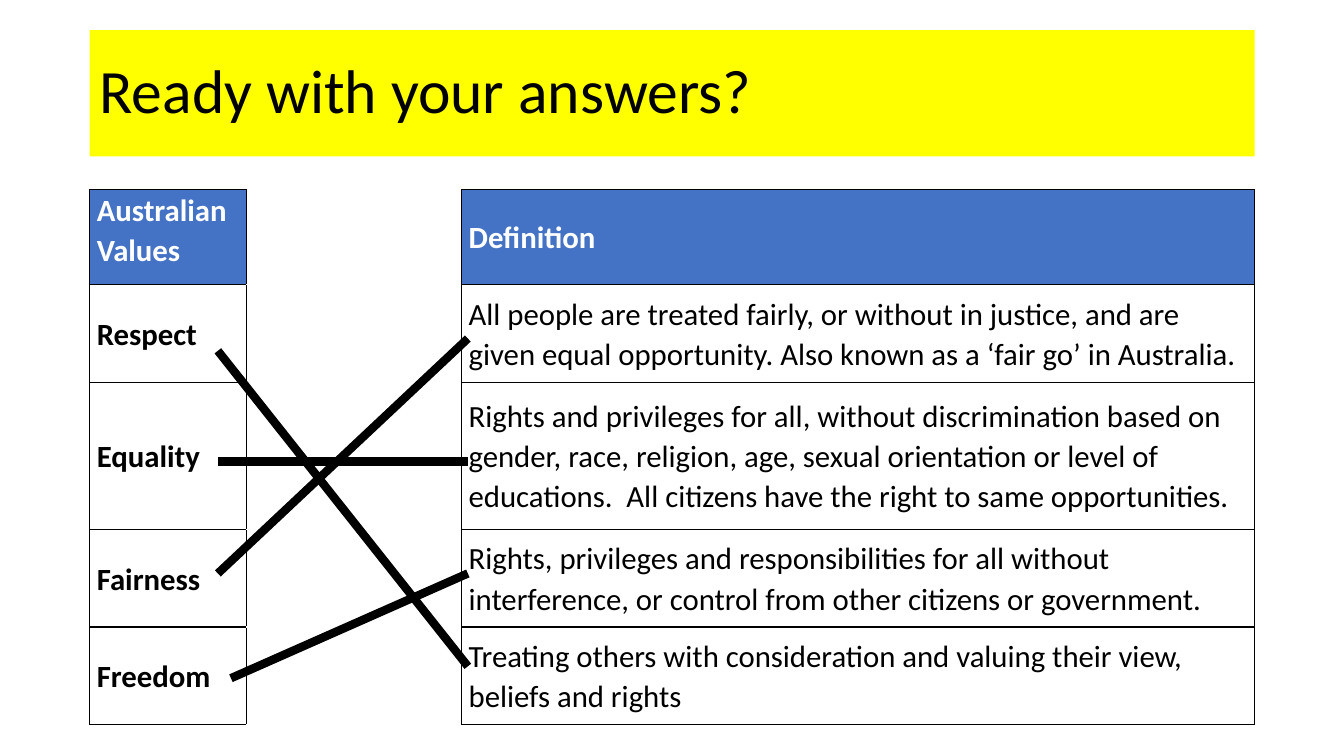
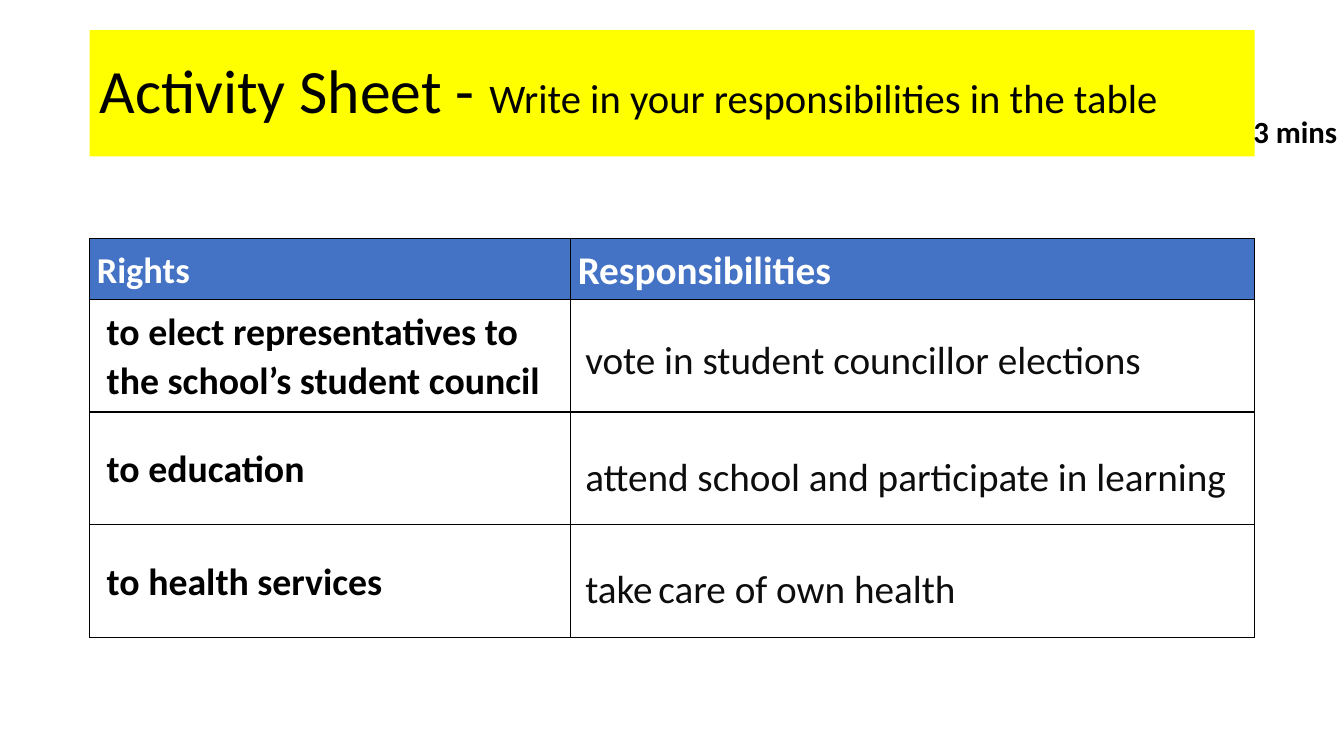
from lxml.etree import SubElement
from pptx import Presentation
from pptx.dml.color import RGBColor
from pptx.enum.shapes import MSO_CONNECTOR, MSO_SHAPE
from pptx.enum.text import MSO_ANCHOR, MSO_AUTO_SIZE, PP_ALIGN
from pptx.oxml.ns import qn
from pptx.util import Cm, Pt

FONT = "Calibri"
COLORS = {
    "band": "FFFF00",
    "header": "4472C4",
    "paper": "FFFFFF",
    "ink": "000000",
    "answer": "0D0D0D",
}
LEFT, WIDTH = 2.26, 29.36
BLANK_LAYOUT = 6

VALUES = [
    ("Respect", "All people are treated fairly, or without in justice, and are given equal "
                "opportunity. Also known as a ‘fair go’ in Australia."),
    ("Equality", "Rights and privileges for all, without discrimination based on gender, race, "
                 "religion, age, sexual orientation or level of educations.  All citizens have "
                 "the right to same opportunities."),
    ("Fairness", "Rights, privileges and responsibilities for all without interference, or "
                 "control from other citizens or government."),
    ("Freedom", "Treating others with consideration and valuing their view, beliefs and rights"),
]
# Start x, start y and end y of each match, measured from the table's corner
MATCHES = [(3.23, 4.06, 12.01), (3.23, 6.85, 6.85), (3.23, 9.67, 3.75), (3.56, 12.31, 9.67)]
MATCH_END = 9.53

RIGHTS = [
    "to elect representatives to the school’s student council",
    "to education",
    "to health services",
]
# Top and width of each answer, measured from the table's corner, and its runs
ANSWERS = [
    (2.31, 14.6, [("vote in student councillor elections", 28)]),
    (5.26, 17.12, [("attend school and participate in learning", 28)]),
    (8.08, 10.31, [("take", 28), (" ", 18), ("care of own health", 28)]),
]


def rgb(name):
    return RGBColor.from_string(COLORS[name])


def write(paragraph, runs, color="ink", bold=False):
    """Fill a paragraph with (text, size) runs; the first size is its default."""
    font = paragraph.font
    font.name, font.size, font.bold = FONT, Pt(runs[0][1]), bold
    font.color.rgb = rgb(color)
    for text, size in runs:
        run = paragraph.add_run()
        run.text = text
        if size != runs[0][1]:
            run.font.size = Pt(size)


def add_title(slide, runs):
    band = slide.shapes.add_shape(MSO_SHAPE.RECTANGLE, Cm(LEFT), Cm(0.76), Cm(WIDTH), Cm(3.18))
    band.shadow.inherit = False
    band.fill.solid()
    band.fill.fore_color.rgb = rgb("band")
    band.line.fill.background()
    band.text_frame.vertical_anchor = MSO_ANCHOR.MIDDLE
    paragraph = band.text_frame.paragraphs[0]
    paragraph.alignment = PP_ALIGN.LEFT
    paragraph.line_spacing = 0.9
    write(paragraph, runs)


def add_label(slide, left, top, width, height, runs, **style):
    frame = slide.shapes.add_textbox(Cm(left), Cm(top), Cm(width), Cm(height)).text_frame
    frame.word_wrap = False
    frame.auto_size = MSO_AUTO_SIZE.SHAPE_TO_FIT_TEXT
    write(frame.paragraphs[0], runs, **style)
    return frame.paragraphs[0]


def style_cell(cell, fill="paper", edge="ink"):
    """Draw black sides, top and bottom edges in the given colour, and a plain fill."""
    properties = cell._tc.get_or_add_tcPr()
    for side, color in (("L", "ink"), ("R", "ink"), ("T", edge), ("B", edge)):
        line = SubElement(properties, qn(f"a:ln{side}"), w=str(Pt(1)))
        SubElement(SubElement(line, qn("a:solidFill")), qn("a:srgbClr"), val=COLORS[color])
    cell.fill.solid()
    cell.fill.fore_color.rgb = rgb(fill)


def write_cell(cell, text, size, color="ink", bold=False, indent=0):
    cell.margin_left = cell.margin_right = Cm(0.18)
    cell.margin_top = cell.margin_bottom = 0
    cell.vertical_anchor = MSO_ANCHOR.MIDDLE
    paragraph = cell.text_frame.paragraphs[0]
    paragraph.line_spacing = 1.07
    paragraph.space_after = Pt(8)
    if indent:
        paragraph._p.get_or_add_pPr().set("marL", str(Cm(indent)))
    write(paragraph, [(text, size)], color, bold)


def add_grid(slide, top, columns, rows):
    """Add an unstyled table with the given column widths and row heights."""
    table = slide.shapes.add_table(len(rows), len(columns), Cm(LEFT), Cm(top),
                                   Cm(sum(columns)), Cm(sum(rows))).table
    table.first_row = table.horz_banding = False
    for column, width in zip(table.columns, columns):
        column.width = Cm(width)
    for row, height in zip(table.rows, rows):
        row.height = Cm(height)
    return table


def add_values_table(slide, top):
    table = add_grid(slide, top, [3.96, 5.41, 19.99], [2.39, 2.46, 3.71, 2.46, 2.46])
    for index, texts in enumerate([("Australian Values", "Definition"), *VALUES]):
        heading = index == 0
        for column, text in zip((0, 2), texts):
            cell = table.cell(index, column)
            style_cell(cell, "header" if heading else "paper")
            write_cell(cell, text, 22, "paper" if heading else "ink", heading or column == 0)
        style_cell(table.cell(index, 1), edge="paper")
    table.cell(0, 0).vertical_anchor = MSO_ANCHOR.TOP


def add_matches(slide, top):
    for start, start_y, end_y in MATCHES:
        match = slide.shapes.add_connector(
            MSO_CONNECTOR.STRAIGHT, Cm(LEFT + start), Cm(top + start_y),
            Cm(LEFT + MATCH_END), Cm(top + end_y))
        match.line.width = Pt(6)
        match.line.color.rgb = rgb("ink")
        SubElement(match._element.spPr, qn("a:effectLst"))


def add_rights_table(slide, top):
    table = add_grid(slide, top, [12.12, 17.24], [1.52] + [2.84] * len(RIGHTS))
    for column, (heading, size) in enumerate([("Rights", 26), ("Responsibilities", 28)]):
        style_cell(table.cell(0, column), "header")
        write_cell(table.cell(0, column), heading, size, "paper", True)
    for row, right in enumerate(RIGHTS, 1):
        for column in range(2):
            style_cell(table.cell(row, column))
        write_cell(table.cell(row, 0), right, 27, bold=True, indent=0.25)


def add_answers(slide, top):
    for offset, width, runs in ANSWERS:
        add_label(slide, LEFT + 12.24, top + offset, width, 1.45, runs, color="answer")


def build_matching_slide(slide):
    add_title(slide, [("Ready with your answers?", 44)])
    add_values_table(slide, 4.78)
    add_matches(slide, 4.78)


def build_activity_slide(slide):
    add_title(slide, [("Activity Sheet - ", 44),
                      ("Write in your responsibilities in the table", 29)])
    add_rights_table(slide, 6.02)
    timer = add_label(slide, 31.12, 2.72, 3.05, 1.19, [("3 mins", 22)], bold=True)
    timer.alignment = PP_ALIGN.CENTER
    add_answers(slide, 6.02)


def main():
    presentation = Presentation()
    presentation.slide_width, presentation.slide_height = Cm(33.87), Cm(19.05)
    for build in (build_matching_slide, build_activity_slide):
        build(presentation.slides.add_slide(presentation.slide_layouts[BLANK_LAYOUT]))
    presentation.save("out.pptx")


if __name__ == "__main__":
    main()
